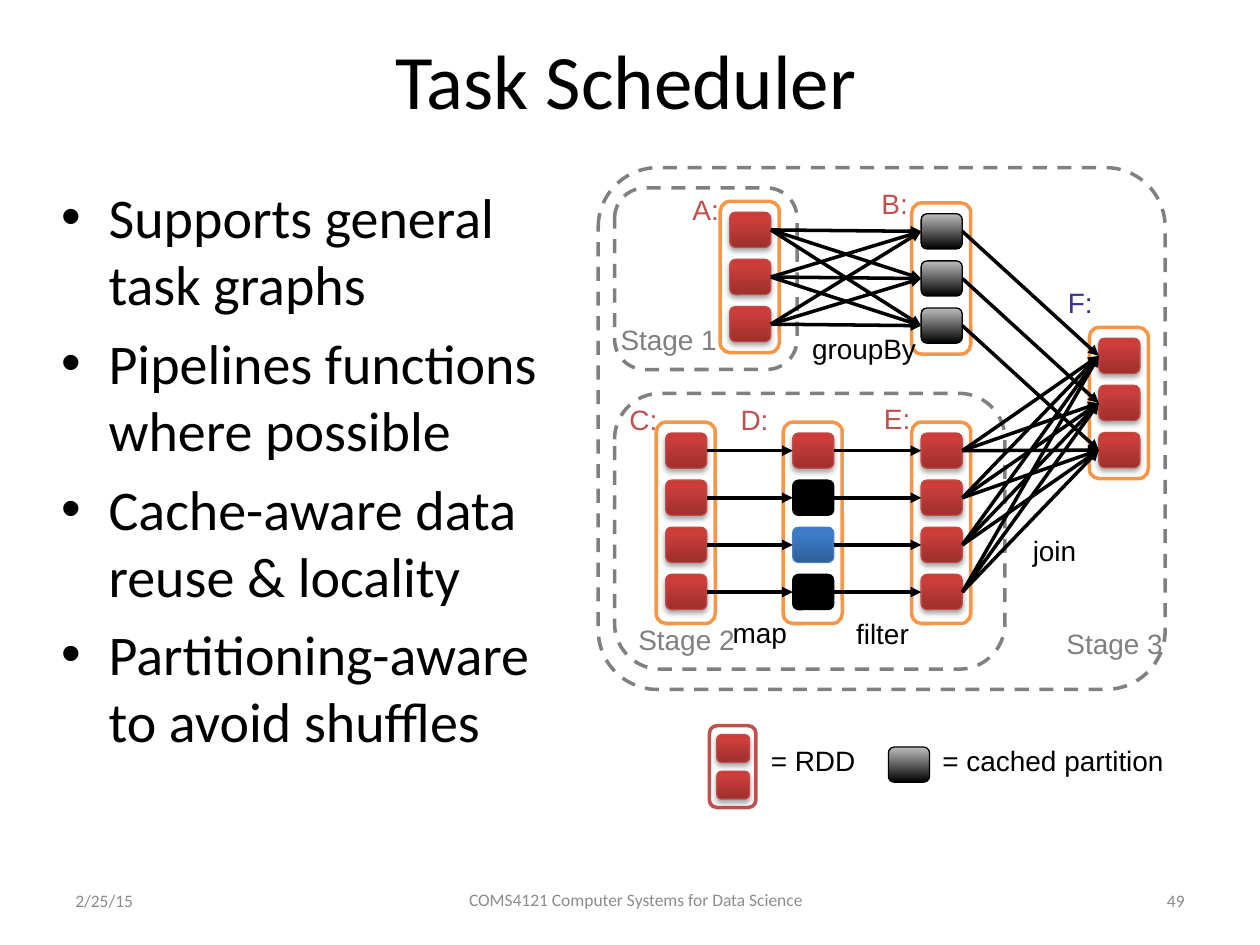
import copy
import dataclasses
import itertools

import lxml.etree
import pptx
import pptx.dml.color
import pptx.enum.dml
import pptx.enum.shapes
import pptx.enum.text
import pptx.oxml.ns
import pptx.util

Cm, Pt = pptx.util.Cm, pptx.util.Pt
qn = pptx.oxml.ns.qn
ALIGN = pptx.enum.text.PP_ALIGN
ANCHOR = pptx.enum.text.MSO_ANCHOR
ROUND = pptx.enum.shapes.MSO_SHAPE.ROUNDED_RECTANGLE


@dataclasses.dataclass(frozen=True)
class Theme:
    ink: str = "000000"
    white: str = "FFFFFF"
    gray: str = "808080"
    pale: str = "8C8C8C"
    orange: str = "F79646"
    red: str = "C0504D"
    navy: str = "333399"
    sans: str = "Calibri"
    label: str = "Arial"
    title: int = 44
    body: int = 32
    note: int = 16
    foot: int = 10
    thick: float = 2
    thin: float = 0.75


@dataclasses.dataclass(frozen=True)
class Skin:
    stops: tuple
    edge: str
    shadow: bool = False


THEME = Theme()
RED = Skin(((0, "9C2F2D"), (0.8, "CB3E3A"), (1, "CE3B37")), "BF4C48", True)
BLUE = Skin(((0, "2F5F99"), (0.8, "3D7CC7"), (1, "3A7CCB")), "4B7EBC")
CACHED = Skin(((0, "000000"), (1, "BDBDBD")), "000000")
BLACK = Skin(((0, "000000"),), "000000")

# Partition grid inside an RDD frame, in cm
FRAME, PAD, TOP, PART, PITCH = 1.19, 0.19, 0.22, (0.83, 0.71), 0.95


def tint(code):
    return pptx.dml.color.RGBColor.from_string(code)


def style(para, size, code, face, align=ALIGN.LEFT):
    para.alignment = align
    for run in para.runs:
        run.font.size, run.font.name = Pt(size), face
        run.font.color.rgb = tint(code)


def write(slide, box, text, size, code, face, align=ALIGN.LEFT, wrap=True):
    shape = slide.shapes.add_textbox(*map(Cm, box))
    frame = shape.text_frame
    frame.word_wrap = wrap
    frame.text = text
    for para in frame.paragraphs:
        style(para, size, code, face, align)
    return frame


def label(slide, x, y, width, text, code=THEME.ink):
    frame = write(slide, (x, y, width, 0.94), text, THEME.note, code,
                  THEME.label, wrap=False)
    frame.auto_size = pptx.enum.text.MSO_AUTO_SIZE.SHAPE_TO_FIT_TEXT


def panel(shapes, box, edge, width, fill=None):
    shape = shapes.add_shape(ROUND, *map(Cm, box))
    shape.shadow.inherit = False
    if fill:
        shape.fill.solid()
        shape.fill.fore_color.rgb = tint(fill)
    else:
        shape.fill.background()
    shape.line.color.rgb = tint(edge)
    shape.line.width = Pt(width)
    return shape


def part(shapes, box, skin):
    """One partition block."""
    shape = panel(shapes, box, skin.edge, THEME.thin, skin.stops[0][1])
    props = shape._element.spPr
    if len(skin.stops) > 1:
        shape.fill.gradient()
        shape.fill.gradient_angle = 90
        stops = props.find(".//" + qn("a:gsLst"))
        while len(stops) < len(skin.stops):
            stops.append(copy.deepcopy(stops[-1]))
        for stop, (place, code) in zip(shape.fill.gradient_stops, skin.stops):
            stop.position = place
            stop.color.rgb = tint(code)
    if skin.shadow:
        cast = lxml.etree.SubElement(
            props.find(qn("a:effectLst")), qn("a:outerShdw"),
            blurRad=str(Pt(3.1)), dist=str(Pt(1.8)), dir="5400000", rotWithShape="0")
        shade = lxml.etree.SubElement(cast, qn("a:srgbClr"), val=THEME.ink)
        lxml.etree.SubElement(shade, qn("a:alpha"), val="35000")


def stage(slide, box, round_by=None):
    shape = panel(slide.shapes, box, THEME.gray, THEME.thick)
    shape.line.dash_style = pptx.enum.dml.MSO_LINE.DASH
    if round_by:
        shape.adjustments[0] = round_by


def rdd(slide, x, y, skins):
    """Frame with its partitions; gives back the left and right ports."""
    height = 3.05 if len(skins) == 3 else 4.06
    panel(slide.shapes, (x, y, FRAME, height), THEME.orange, THEME.thick, THEME.white)
    left, right = [], []
    for row, skin in enumerate(skins):
        px, py = x + PAD, y + TOP + row * PITCH
        part(slide.shapes, (px, py, *PART), skin)
        mid = py + PART[1] / 2
        left.append((px, mid))
        right.append((px + PART[0], mid))
    return left, right


def arrow(slide, start, end):
    kind = pptx.enum.shapes.MSO_CONNECTOR.STRAIGHT
    line = slide.shapes.add_connector(kind, *map(Cm, (*start, *end)))
    line.line.color.rgb = tint(THEME.ink)
    line.line.width = Pt(THEME.thick)
    props = line._element.spPr
    lxml.etree.SubElement(props.find(qn("a:ln")), qn("a:tailEnd"), type="triangle")
    lxml.etree.SubElement(props, qn("a:effectLst"))


def graph(slide, left, top, width, height):
    """Task graph: stages, RDDs, arrows and labels."""
    stage(slide, (left, top, width, height), 0.114)
    stage(slide, (left + 0.33, top + 0.41, 3.68, 3.66))
    stage(slide, (left + 0.33, top + 4.55, 7.87, 5.56))

    nodes = {
        "A": (2.46, 0.68, [RED] * 3),
        "B": (6.32, 0.71, [CACHED] * 3),
        "C": (1.17, 5.13, [RED] * 4),
        "D": (3.73, 5.13, [RED, BLACK, BLUE, BLACK]),
        "E": (6.32, 5.13, [RED] * 4),
        "F": (9.9, 3.22, [RED] * 3),
    }
    ports = {name: rdd(slide, left + x, top + y, skins)
             for name, (x, y, skins) in nodes.items()}

    # Narrow links join row to row, wide links join every pair
    links = (("A", "B", itertools.product), ("B", "F", zip), ("C", "D", zip),
             ("D", "E", zip), ("E", "F", itertools.product))
    for start, end, match in links:
        for pair in match(ports[start][1], ports[end][0]):
            arrow(slide, *pair)

    for x, y, wide, text, code in (
            (8.51, 7.26, 1.45, "join", THEME.ink),
            (4.95, 8.92, 1.6, "filter", THEME.ink),
            (4.06, 3.18, 2.64, "groupBy", THEME.ink),
            (2.46, 8.9, 1.63, "map", THEME.ink),
            (0.2, 3, 2.49, "Stage 1", THEME.gray),
            (0.56, 9.04, 2.49, "Stage 2", THEME.gray),
            (9.19, 9.12, 2.49, "Stage 3", THEME.gray),
            (1.65, 0.38, 1.04, "A:", THEME.red),
            (5.46, 0.25, 1.04, "B:", THEME.red),
            (0.38, 4.62, 1.09, "C:", THEME.red),
            (2.62, 4.62, 1.09, "D:", THEME.red),
            (5.51, 4.6, 1.04, "E:", THEME.red),
            (9.22, 2.26, 1.02, "F:", THEME.navy)):
        label(slide, left + x, top + y, wide, text, code)


def legend(slide, left, top):
    icon = slide.shapes.add_group_shape().shapes
    panel(icon, (left, top, 0.94, 1.65), THEME.red, THEME.thick, THEME.white)
    for row in range(2):
        part(icon, (left + 0.15, top + 0.18 + row * 0.74, 0.66, 0.56), RED)
    label(slide, left + 0.99, top + 0.23, 2.24, "= RDD")
    part(slide.shapes, (left + 3.61, top + 0.43, *PART), CACHED)
    label(slide, left + 4.45, top + 0.23, 5.03, "= cached partition")


def title(slide, box, text):
    shape = slide.shapes.title
    shape.left, shape.top, shape.width, shape.height = map(Cm, box)
    frame = shape.text_frame
    frame.text = text
    frame.vertical_anchor = ANCHOR.MIDDLE
    style(frame.paragraphs[0], THEME.title, THEME.ink, THEME.sans, ALIGN.CENTER)


def points(slide, box, lines):
    frame = write(slide, box, "\n".join(lines), THEME.body, THEME.ink, THEME.sans)
    for row, para in enumerate(frame.paragraphs):
        props = para._p.get_or_add_pPr()
        props.set("marL", str(Cm(0.95)))
        props.set("indent", str(Cm(-0.95)))
        lxml.etree.SubElement(props, qn("a:buFont"), typeface=THEME.label)
        lxml.etree.SubElement(props, qn("a:buChar"), char="•")
        if row:
            para.space_before = Pt(THEME.body * 0.2)


def footer(slide, top):
    for x, y, wide, high, text, align in (
            (1.27, 0.07, 5.92, 1.02, "2/25/15", ALIGN.LEFT),
            (8.05, 0, 9.53, 1.09, "COMS4121 Computer Systems for Data Science", ALIGN.CENTER),
            (18.21, 0.07, 5.92, 1.02, "49", ALIGN.RIGHT)):
        frame = write(slide, (x, top + y, wide, high), text, THEME.foot,
                      THEME.pale, THEME.sans, align)
        frame.vertical_anchor = ANCHOR.MIDDLE


def main():
    deck = pptx.Presentation()
    deck.slide_width, deck.slide_height = Cm(25.4), Cm(19.05)
    slide = deck.slides.add_slide(deck.slide_layouts[5])
    graph(slide, 12.06, 3.38, 11.43, 10.52)
    legend(slide, 14.3, 14.63)
    title(slide, (1.19, 0, 22.86, 3.18), "Task Scheduler")
    points(slide, (0.99, 3.56, 10.54, 13.46), (
        "Supports general task graphs",
        "Pipelines functions where possible",
        "Cache-aware data reuse & locality",
        "Partitioning-aware to avoid shuffles"))
    footer(slide, 17.58)
    deck.save("out.pptx")


if __name__ == "__main__":
    main()
